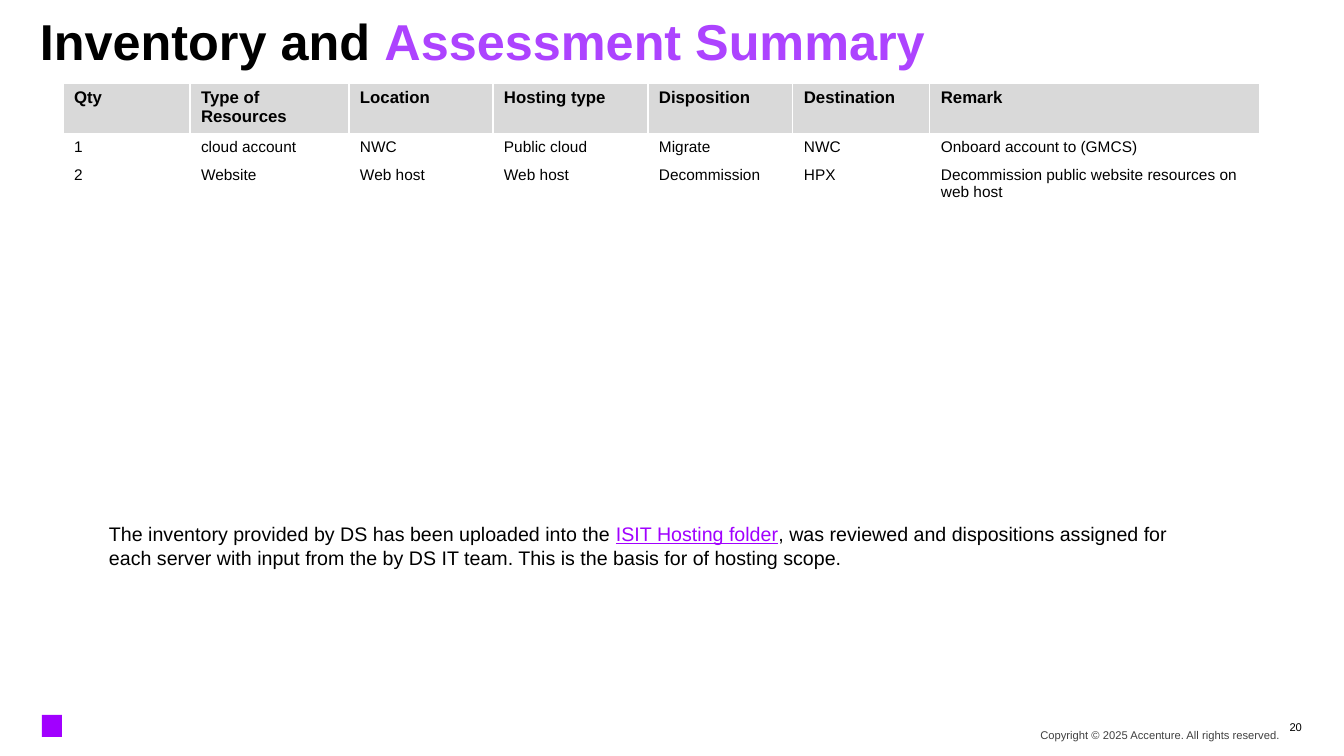
from pptx import Presentation
from pptx.dml.color import RGBColor
from pptx.enum.shapes import MSO_SHAPE as Shape
from pptx.enum.text import MSO_ANCHOR as Anchor, PP_ALIGN as Align
from pptx.util import Emu, Pt

BLACK = RGBColor(0, 0, 0)
GREY = RGBColor(0x40, 0x40, 0x40)
SILVER = RGBColor(0xD9, 0xD9, 0xD9)
PURPLE = RGBColor(0xA1, 0x00, 0xFF)
VIOLET = RGBColor(0xAD, 0x43, 0xFF)

WIDTHS = (127, 159, 144, 155, 145, 137, 330)
HEIGHTS = (46, 26, 26)
ROWS = (
    ("Qty", "Type of Resources", "Location", "Hosting type",
     "Disposition", "Destination", "Remark"),
    ("1", "cloud account", "NWC", "Public cloud", "Migrate", "NWC",
     "Onboard account to (GMCS)"),
    ("2", "Website", "Web host", "Web host", "Decommission", "HPX",
     "Decommission public website resources on web host"),
)


def px(n):
    return Emu(round(n * 914400 / 100.8))


def style(para, size, color=BLACK, bold=False):
    font = para.font
    font.name, font.size, font.bold = "Arial", Pt(size), bold
    font.color.rgb = color


def add_text(slide, box, inset=0, anchor=Anchor.TOP):
    frame = slide.shapes.add_textbox(*map(px, box)).text_frame
    frame.word_wrap = True
    frame.vertical_anchor = anchor
    frame.margin_left = frame.margin_right = px(inset)
    frame.margin_top = frame.margin_bottom = px(inset // 2)
    return frame.paragraphs[0]


def add_run(para, text, color=None, line=None):
    run = para.add_run()
    run.text = text
    run.font.underline = line
    if color is not None:
        run.font.color.rgb = color


def add_title(slide, box):
    para = add_text(slide, box)
    para.line_spacing = 0.8
    style(para, 36, bold=True)
    add_run(para, "Inventory and ")
    add_run(para, "Assessment Summary", VIOLET)


def add_grid(slide, left, top):
    table = slide.shapes.add_table(
        len(ROWS), len(WIDTHS), px(left), px(top),
        px(sum(WIDTHS)), px(sum(HEIGHTS))).table
    table.horz_banding = False
    for col, width in zip(table.columns, WIDTHS):
        col.width = px(width)
    for i, (row, height) in enumerate(zip(table.rows, HEIGHTS)):
        row.height = px(height)
        head = i == 0
        for cell, text in zip(row.cells, ROWS[i]):
            cell.text = text
            cell.margin_left = cell.margin_right = px(11)
            cell.margin_top = cell.margin_bottom = px(5)
            style(cell.text_frame.paragraphs[0], 12 if head else 11, bold=head)
            if head:
                cell.fill.solid()
                cell.fill.fore_color.rgb = SILVER
            else:
                cell.fill.background()


def add_note(slide, box):
    para = add_text(slide, box, inset=10)
    style(para, 14)
    add_run(para, "The inventory provided by DS has been uploaded into the ")
    add_run(para, "ISIT Hosting folder", PURPLE, True)
    add_run(para, ", was reviewed and dispositions assigned for each server "
                  "with input from the by DS IT team. This is the basis for "
                  "of hosting scope.")


def add_foot(slide, left, top):
    mark = slide.shapes.add_shape(
        Shape.RECTANGLE, px(left), px(top), px(20), px(22))
    mark.shadow.inherit = False
    mark.fill.solid()
    mark.fill.fore_color.rgb = PURPLE
    mark.line.fill.background()
    parts = (
        ("Copyright © 2025 Accenture. All rights reserved.", GREY,
         (left + 888, top + 13, 350, 14)),
        ("20", BLACK, (left + 1224, top + 1, 36, 22)),
    )
    for text, color, box in parts:
        para = add_text(slide, box, anchor=Anchor.MIDDLE)
        para.alignment = Align.RIGHT
        style(para, 8, color)
        add_run(para, text)


def main():
    deck = Presentation()
    deck.slide_width, deck.slide_height = px(1344), px(756)
    slide = deck.slides.add_slide(deck.slide_layouts[6])
    add_title(slide, (40, 22, 1263, 55))
    add_grid(slide, 63, 83)
    add_note(slide, (99, 517, 1113, 122))
    add_foot(slide, 42, 715)
    deck.save("out.pptx")


if __name__ == "__main__":
    main()
